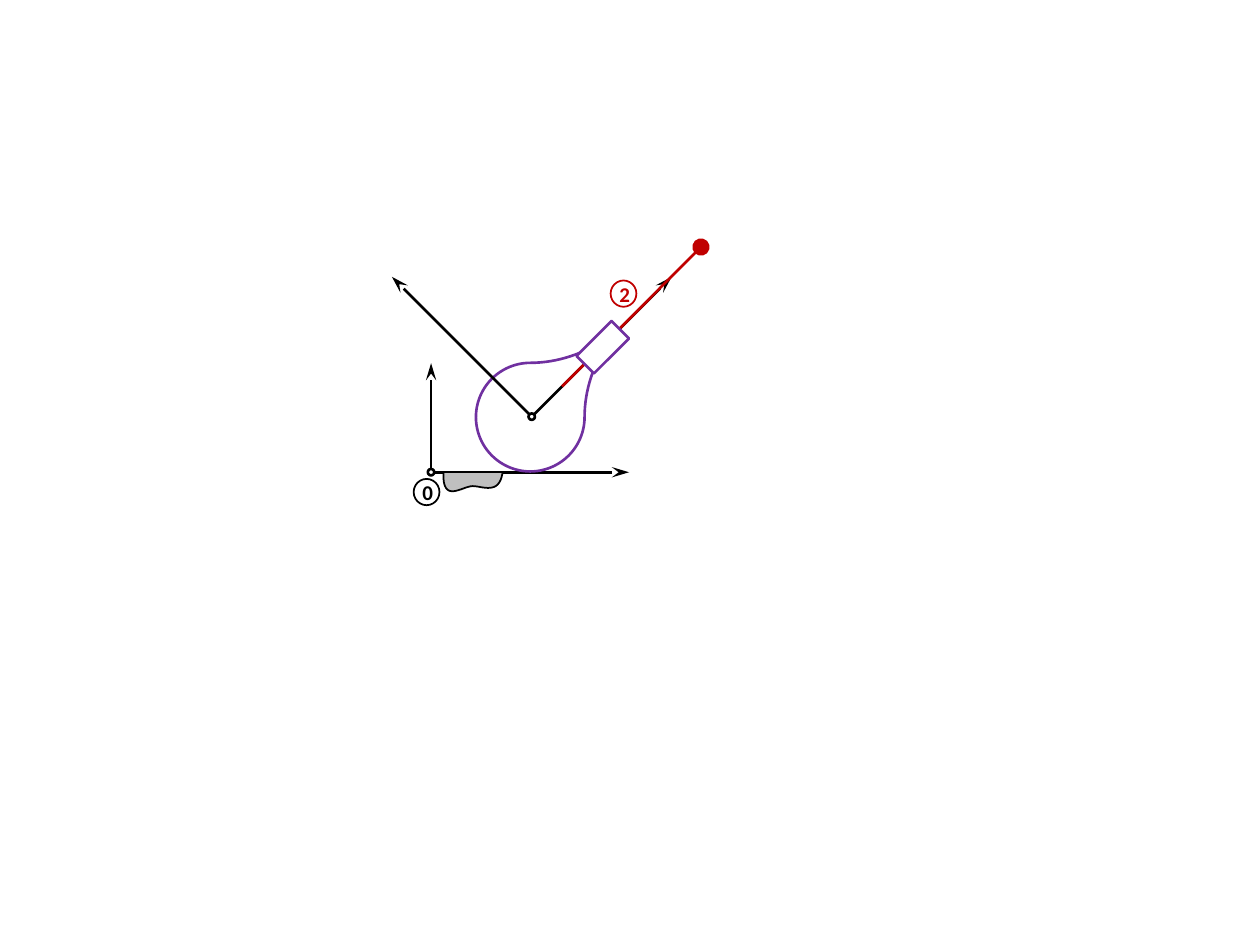
from dataclasses import dataclass

from lxml.etree import SubElement
from pptx import Presentation
from pptx.dml.color import RGBColor
from pptx.enum.shapes import MSO_CONNECTOR as Connector, MSO_SHAPE as Shape
from pptx.enum.text import MSO_ANCHOR as Anchor, PP_ALIGN as Align
from pptx.oxml.ns import qn
from pptx.util import Cm, Pt


@dataclass(frozen=True)
class Theme:
    black: str = "000000"
    white: str = "FFFFFF"
    red: str = "C00000"
    purple: str = "7030A0"
    gray: str = "BFBFBF"
    font: str = "Calibri"
    label_size: float = 12
    thick: float = 1.5
    thin: float = 1


def write_text(shape, text, *, font, size, color, bold=False):
    frame = shape.text_frame
    frame.margin_right = frame.margin_top = frame.margin_bottom = 0
    frame.margin_left = Cm(0.05)
    frame.word_wrap = False
    frame.vertical_anchor = Anchor.MIDDLE
    paragraph = frame.paragraphs[0]
    paragraph.alignment = Align.CENTER
    run = paragraph.add_run()
    run.text = text
    run.font.name, run.font.size, run.font.bold = font, Pt(size), bold
    run.font.color.rgb = RGBColor.from_string(color)


def curve_points(start, control_1, control_2, end, steps=16):
    """Points along a cubic curve, without its start."""
    for step in range(1, steps + 1):
        t = step / steps
        u = 1 - t
        yield tuple(
            u**3 * a + 3 * u * u * t * b + 3 * u * t * t * c + t**3 * d
            for a, b, c, d in zip(start, control_1, control_2, end)
        )


class Diagram:
    def __init__(self, slide, theme):
        self.slide, self.theme = slide, theme

    def _style(self, shape, fill, color, width):
        shape.shadow.inherit = False
        if fill:
            shape.fill.solid()
            shape.fill.fore_color.rgb = RGBColor.from_string(fill)
        else:
            shape.fill.background()
        shape.line.color.rgb = RGBColor.from_string(color)
        shape.line.width = Pt(width)
        return shape

    def shape(self, kind, center, size, color, fill=None, width=None, shapes=None):
        (x, y), (w, h) = center, size
        shape = (shapes or self.slide.shapes).add_shape(
            kind, Cm(x - w / 2), Cm(y - h / 2), Cm(w), Cm(h))
        return self._style(shape, fill, color, width or self.theme.thick)

    def line(self, start, end, color, head, head_width="med", shapes=None):
        line = (shapes or self.slide.shapes).add_connector(
            Connector.STRAIGHT, *map(Cm, (*start, *end)))
        line.line.color.rgb = RGBColor.from_string(color)
        line.line.width = Pt(self.theme.thick)
        SubElement(line.line._get_or_add_ln(), qn("a:tailEnd"),
                   type=head, w=head_width, len="lg")
        SubElement(line._element.spPr, qn("a:effectLst"))

    def axes(self, origin, tips):
        """A coordinate frame: two arrows and a small pivot."""
        shapes = self.slide.shapes.add_group_shape().shapes
        for tip in tips:
            self.line(origin, tip, self.theme.black, "stealth", shapes=shapes)
        self.shape(Shape.OVAL, origin, (0.13, 0.13), self.theme.black,
                   self.theme.white, shapes=shapes)

    def ground(self, start, *curves):
        points = [start]
        for curve in curves:
            points += curve_points(points[-1], *curve)
        first, *rest = [(Cm(x), Cm(y)) for x, y in points]
        builder = self.slide.shapes.build_freeform(*first)
        builder.add_line_segments(rest, close=False)
        self._style(builder.convert_to_shape(), self.theme.gray,
                    self.theme.black, self.theme.thin)

    def label(self, text, center, color):
        theme = self.theme
        circle = self.shape(Shape.OVAL, center, (0.52, 0.53), color,
                            theme.white, theme.thin)
        write_text(circle, text, font=theme.font, size=theme.label_size,
                   color=color, bold=True)


def main():
    presentation = Presentation()
    presentation.slide_width, presentation.slide_height = Cm(25.4), Cm(19.05)
    slide = presentation.slides.add_slide(presentation.slide_layouts[6])
    theme = Theme()
    diagram = Diagram(slide, theme)

    # Fixed frame
    diagram.axes((8.69, 9.52), [(8.69, 7.32), (12.68, 9.52)])

    # Rolling body
    body = diagram.shape(Shape.TEAR, (10.69, 8.41), (2.19, 2.19), theme.purple)
    body.adjustments[0] = 1.49

    # Frame of the body, turned by 45 degrees
    x, y, reach = 10.72, 8.4, 2.82
    diagram.axes((x, y), [(x - reach, y - reach), (x + reach, y - reach)])

    # Sliding rod and its guide
    diagram.line((11.33, 7.79), (14.13, 4.98), theme.red, "oval", "lg")
    guide = diagram.shape(Shape.RECTANGLE, (12.15, 7), (0.5, 1), theme.purple, theme.white)
    guide.rotation = 45

    # Ground
    diagram.ground(
        (8.94, 9.54),
        ((8.92, 10.16), (9.32, 9.8), (9.53, 9.8)),
        ((9.73, 9.8), (10.06, 9.98), (10.13, 9.54)),
    )

    # Link numbers
    diagram.label("0", (8.6, 9.92), theme.black)
    diagram.label("2", (12.57, 5.92), theme.red)

    presentation.save("out.pptx")


if __name__ == "__main__":
    main()
